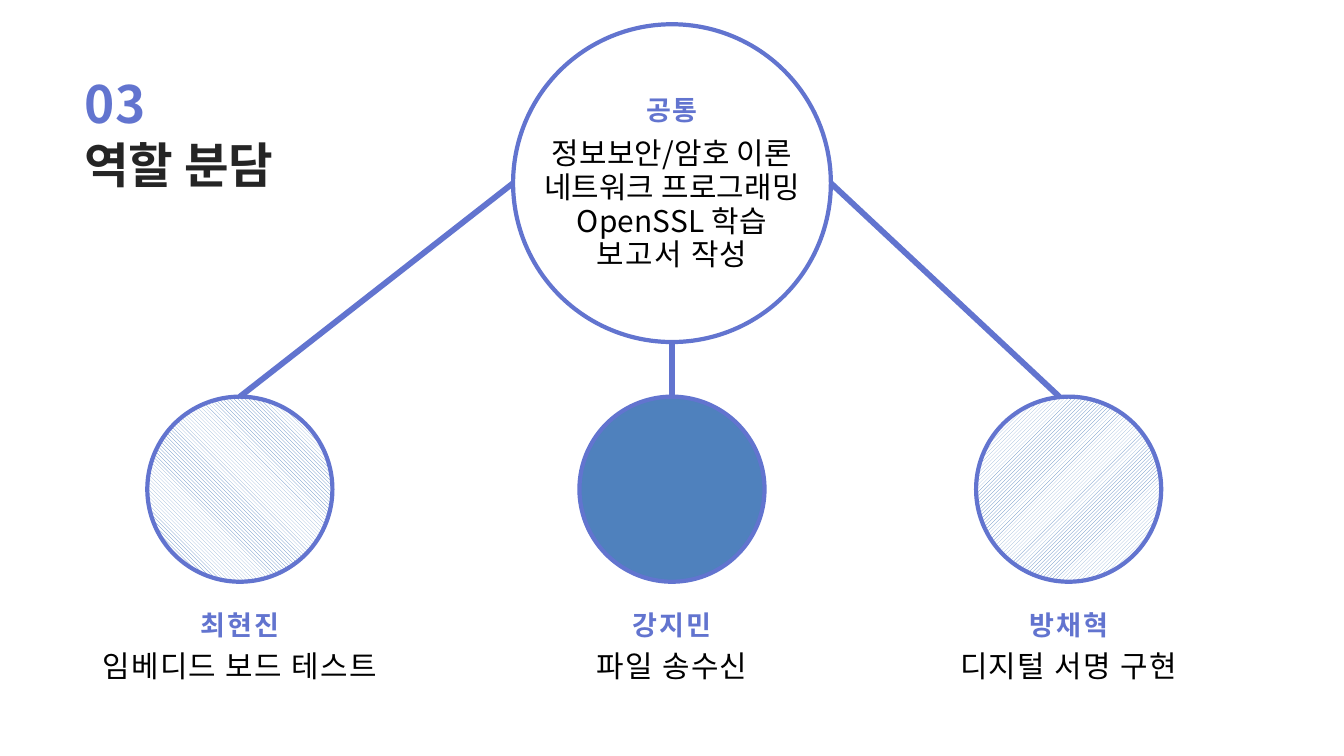
from lxml import etree
from pptx import Presentation
from pptx import util as u
from pptx.dml.color import RGBColor
from pptx.enum import dml, shapes, text
from pptx.oxml.ns import qn

FONT = "Noto Sans CJK KR"
COLORS = {"accent": "6274CF", "hatch": "4F81BD", "paper": "FFFFFF",
          "ink": "000000", "title": "252525"}
COMMON_TASKS = [("정보보안/암호 이론", 0.2), ("네트워크 프로그래밍", 0.2),
                ("OpenSSL 학습", 0.2), ("보고서 작성", 1.5)]
MEMBERS = [
    ("최현진", "임베디드 보드 테스트", 257, dml.MSO_PATTERN.WIDE_DOWNWARD_DIAGONAL),
    ("강지민", "파일 송수신", 720, dml.MSO_PATTERN.DARK_VERTICAL),
    ("방채혁", "디지털 서명 구현", 1145, dml.MSO_PATTERN.WIDE_UPWARD_DIAGONAL),
]


def rgb(name):
    """Return the palette colour of that name."""
    return RGBColor.from_string(COLORS[name])


def write(holder, box, lines, size, color, bold=False, leading=None, centered=True):
    """Place a text holder in box and fill it with (wording, tracking) lines."""
    holder.left, holder.top, holder.width, holder.height = map(u.Pt, box)
    frame = holder.text_frame
    frame.margin_left = frame.margin_right = frame.margin_top = frame.margin_bottom = 0
    frame.word_wrap = True
    frame.auto_size = text.MSO_AUTO_SIZE.NONE
    frame.vertical_anchor = text.MSO_ANCHOR.TOP
    frame.text = "\n".join(wording for wording, _ in lines)
    for paragraph, (_, tracking) in zip(frame.paragraphs, lines):
        paragraph.alignment = text.PP_ALIGN.CENTER if centered else text.PP_ALIGN.LEFT
        if leading:
            paragraph.line_spacing = u.Pt(leading)
        for run in paragraph.runs:
            run.font.name, run.font.size, run.font.bold = FONT, u.Pt(size), bold
            run.font.color.rgb = rgb(color)
            properties = run.font._element
            properties.set("spc", str(round(tracking * 100)))
            properties.find(qn("a:latin")).addnext(
                etree.Element(qn("a:ea"), typeface=FONT))


def add_text(slide, box, *args, **kwargs):
    """Add a text box and write its lines."""
    write(slide.shapes.add_textbox(*map(u.Pt, box)), box, *args, **kwargs)


def add_name(slide, center, top, name):
    """Add an accented heading centred on a column."""
    add_text(slide, (center - 90, top, 180, 60), [(name, 2.2)], 29, "accent",
             bold=True, leading=67.8)


def add_circle(slide, center, top, diameter, pattern=None):
    """Add an outlined circle, hatched if a pattern is given."""
    circle = slide.shapes.add_shape(shapes.MSO_SHAPE.OVAL, *map(
        u.Pt, (center - diameter / 2, top, diameter, diameter)))
    circle.shadow.inherit = False
    circle.line.color.rgb, circle.line.width = rgb("accent"), u.Pt(4.5)
    if pattern is None:
        circle.fill.background()
    else:
        circle.fill.patterned()
        circle.fill.pattern = pattern
        circle.fill.fore_color.rgb = rgb("hatch")
        circle.fill.back_color.rgb = rgb("paper")


def add_heading(slide, left, top):
    """Place the section number and the slide title."""
    add_text(slide, (left, top, 110, 99), [("03", 1.3)], 55, "accent",
             bold=True, leading=110, centered=False)
    write(slide.shapes.title, (left, top + 70, 418, 94), [("역할 분담", 0)], 52,
          "title", bold=True, leading=104, centered=False)


def add_common(slide, center, top, diameter):
    """Place the circle of shared tasks."""
    add_circle(slide, center, top, diameter)
    add_text(slide, (center - 182.5, top + 121, 365, 184), COMMON_TASKS, 32, "ink",
             leading=36)
    add_name(slide, center, top + 41, "공통")


def add_member(slide, center, top, diameter, name, task, pattern):
    """Place one member's circle, name and task."""
    add_circle(slide, center, top, diameter, pattern)
    add_name(slide, center, top + 194, name)
    add_text(slide, (center - 182.5, top + 268.5, 365, 39), [(task, 1.5)], 32, "ink")


def add_link(slide, start, end):
    """Draw a plain line between two points."""
    link = slide.shapes.add_connector(shapes.MSO_CONNECTOR.STRAIGHT,
                                      *map(u.Pt, (*start, *end)))
    link.line.color.rgb, link.line.width = rgb("accent"), u.Pt(6.25)
    etree.SubElement(link._element.spPr, qn("a:effectLst"))


def main():
    """Build the role assignment slide."""
    deck = Presentation()
    deck.slide_width, deck.slide_height = u.Pt(1440), u.Pt(810)
    slide = deck.slides.add_slide(deck.slide_layouts[5])
    center, common_top, common_size = 720, 26, 340.5
    member_top, member_size = 425, 198.3
    radius = common_size / 2
    for name, task, column, pattern in MEMBERS:
        add_member(slide, column, member_top, member_size, name, task, pattern)
    add_heading(slide, 90, 33)
    add_common(slide, center, common_top, common_size)
    middle = common_top + radius
    add_link(slide, (center - radius, middle), (257, member_top))
    add_link(slide, (center + radius, middle), (1135, member_top))
    add_link(slide, (center, common_top + common_size), (center, member_top))
    deck.save("out.pptx")


if __name__ == "__main__":
    main()
